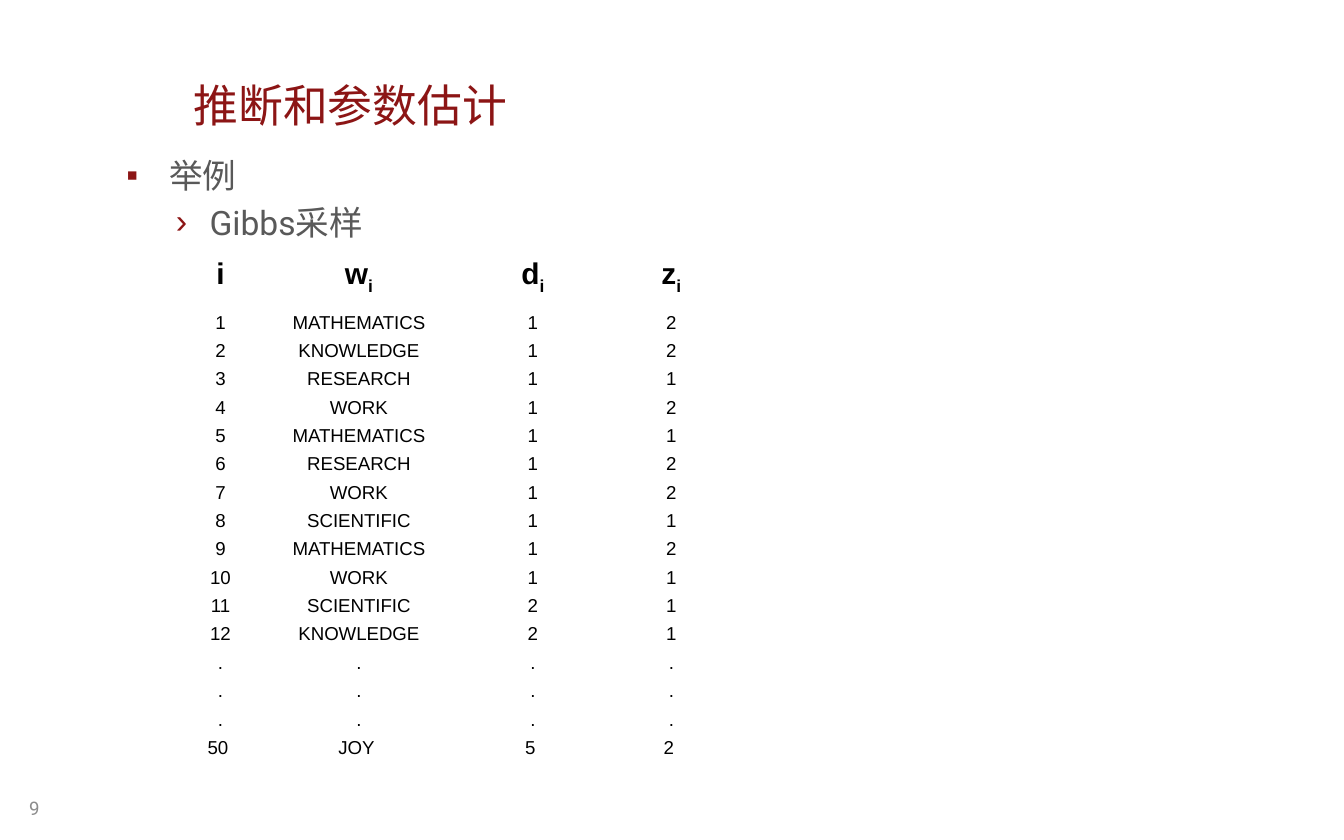
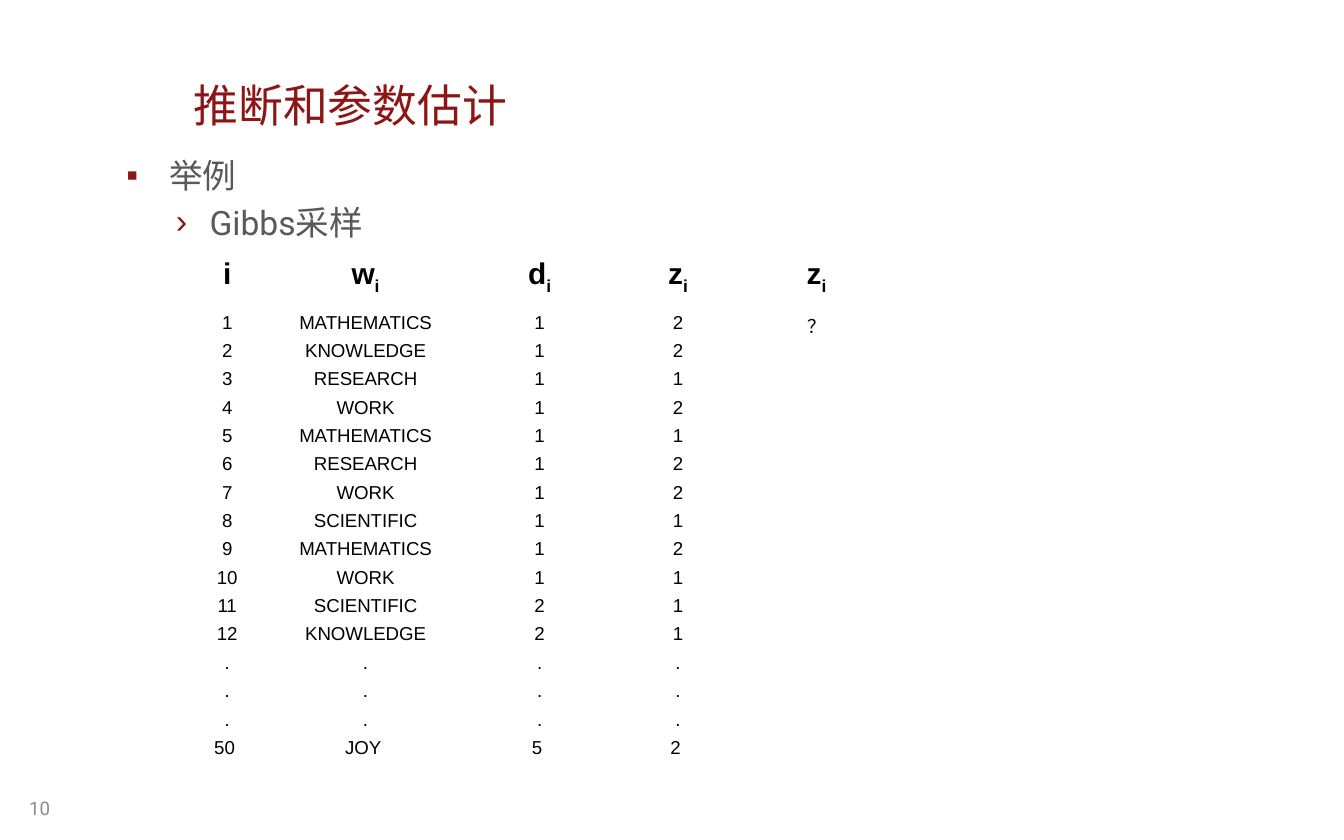
from lxml import etree
from pptx import Presentation
from pptx.dml.color import RGBColor
from pptx.enum.text import MSO_ANCHOR, MSO_AUTO_SIZE, PP_ALIGN
from pptx.oxml.ns import qn
from pptx.util import Pt

CARDINAL = RGBColor(0x8C, 0x15, 0x15)
GRAY = RGBColor(0x59, 0x59, 0x59)
LIGHT_GRAY = RGBColor(0x8C, 0x8C, 0x8C)
BLACK = RGBColor(0, 0, 0)

TITLE = "推断和参数估计"
OUTLINE = [("举例", "▪", 23, -23, 100), ("Gibbs采样", "›", 44.6, -18, 102)]
COLUMN_WIDTHS = [36, 112.3] + [74.2] * 5
ROW_HEIGHTS = [26.6, 271.4]
HEADINGS = ["i", "wi", "di", "zi"]
WORDS = ("MATHEMATICS KNOWLEDGE RESEARCH WORK MATHEMATICS RESEARCH "
         "WORK SCIENTIFIC MATHEMATICS WORK SCIENTIFIC KNOWLEDGE").split()
DOCUMENTS = "111111111122"
TOPICS = "221212212111"
ASSIGNMENTS = [(str(i), *row) for i, row in enumerate(zip(WORDS, DOCUMENTS, TOPICS), 1)]
ASSIGNMENTS += [(".",) * 4] * 3 + [("50 ", "JOY ", "5 ", "2 ")]


class Deck:
    font = "Roboto"
    table_font = "Arial"

    def __init__(self):
        self.deck = Presentation()
        self.deck.slide_width, self.deck.slide_height = Pt(720), Pt(450)

    def new_slide(self):
        self.slide = self.deck.slides.add_slide(self.deck.slide_layouts[1])

    def place(self, shape, left, top, width, height):
        shape.left, shape.top = Pt(left), Pt(top)
        shape.width, shape.height = Pt(width), Pt(height)

    def style(self, paragraph, name, size, color, bold=False):
        for run in paragraph.runs:
            run.font.name, run.font.size, run.font.bold = name, Pt(size), bold
            run.font.color.rgb = color

    def space(self, paragraph, *sides):
        properties = paragraph._p.get_or_add_pPr()
        for side in sides:
            spacing = etree.SubElement(properties, qn(f"a:{side}"))
            etree.SubElement(spacing, qn("a:spcPct"), val="20000")

    def bullet(self, paragraph, symbol, left, hanging, percent):
        properties = paragraph._p.get_or_add_pPr()
        properties.set("marL", str(Pt(left)))
        properties.set("indent", str(Pt(hanging)))
        color = etree.SubElement(properties, qn("a:buClr"))
        etree.SubElement(color, qn("a:srgbClr"), val=str(CARDINAL))
        etree.SubElement(properties, qn("a:buSzPct"), val=str(percent * 1000))
        etree.SubElement(properties, qn("a:buFont"), typeface="Arial")
        etree.SubElement(properties, qn("a:buChar"), char=symbol)

    def title(self, text):
        title = self.slide.shapes.title
        self.place(title, 103.7, 31.7, 577.4, 42.5)
        frame = title.text_frame
        frame.text = text
        frame.auto_size = MSO_AUTO_SIZE.NONE
        frame.vertical_anchor = MSO_ANCHOR.BOTTOM
        frame.margin_left = 0
        heading = frame.paragraphs[0]
        heading.alignment, heading.line_spacing = PP_ALIGN.LEFT, 0.85
        self.style(heading, self.font, 24, CARDINAL)

    def outline(self, items):
        body = self.slide.placeholders[1]
        self.place(body, 67.7, 79.2, 614.2, 329)
        frame = body.text_frame
        frame.text = "\n".join(item[0] for item in items)
        frame.auto_size = MSO_AUTO_SIZE.NONE
        frame.margin_left = frame.margin_right = 0
        for level, (point, item) in enumerate(zip(frame.paragraphs, items)):
            point.level = level
            self.space(point, "spcBef")
            self.bullet(point, *item[1:])
            self.style(point, self.font, 18, GRAY)

    def page_number(self, number):
        frame = self.slide.shapes.add_textbox(Pt(8.6), Pt(421.2), Pt(67), Pt(23.8)).text_frame
        frame.text = str(number)
        frame.word_wrap = True
        frame.vertical_anchor = MSO_ANCHOR.MIDDLE
        self.style(frame.paragraphs[0], self.font, 10, LIGHT_GRAY)

    def cell_line(self, paragraph, size, bold=False):
        paragraph.alignment = PP_ALIGN.CENTER
        self.space(paragraph, "spcBef", "spcAft")
        self.style(paragraph, self.table_font, size, BLACK, bold)

    def heading_cell(self, cell, text):
        heading = cell.text_frame.paragraphs[0]
        for letter in text:
            heading.add_run().text = letter
        self.cell_line(heading, 16, True)
        for subscript in heading.runs[1:]:
            subscript.font._element.set("baseline", "-25000")

    def table(self, left, headings, columns):
        table = self.slide.shapes.add_table(
            2, len(COLUMN_WIDTHS), Pt(left), Pt(134.6),
            Pt(sum(COLUMN_WIDTHS)), Pt(sum(ROW_HEIGHTS))).table
        table.first_row = table.horz_banding = False
        for column, width in zip(table.columns, COLUMN_WIDTHS):
            column.width = Pt(width)
        for row, height in zip(table.rows, ROW_HEIGHTS):
            row.height = Pt(height)
        for cell in table.iter_cells():
            cell.fill.background()
            cell.text_frame.paragraphs[0]._p.get_or_add_endParaRPr().set("sz", "1000")
        for index, (heading, values) in enumerate(zip(headings, columns)):
            self.heading_cell(table.cell(0, index), heading)
            frame = table.cell(1, index).text_frame
            frame.text = "\n".join(values)
            for line in frame.paragraphs:
                self.cell_line(line, 10)


def main():
    deck = Deck()
    columns = list(zip(*ASSIGNMENTS))
    steps = [
        (9, 100.1, HEADINGS, columns),
        (10, 103.7, HEADINGS + ["zi"], columns + [("？",)]),
    ]
    for number, left, headings, values in steps:
        deck.new_slide()
        deck.title(TITLE)
        deck.outline(OUTLINE)
        deck.page_number(number)
        deck.table(left, headings, values)
    deck.deck.save("out.pptx")


if __name__ == "__main__":
    main()
